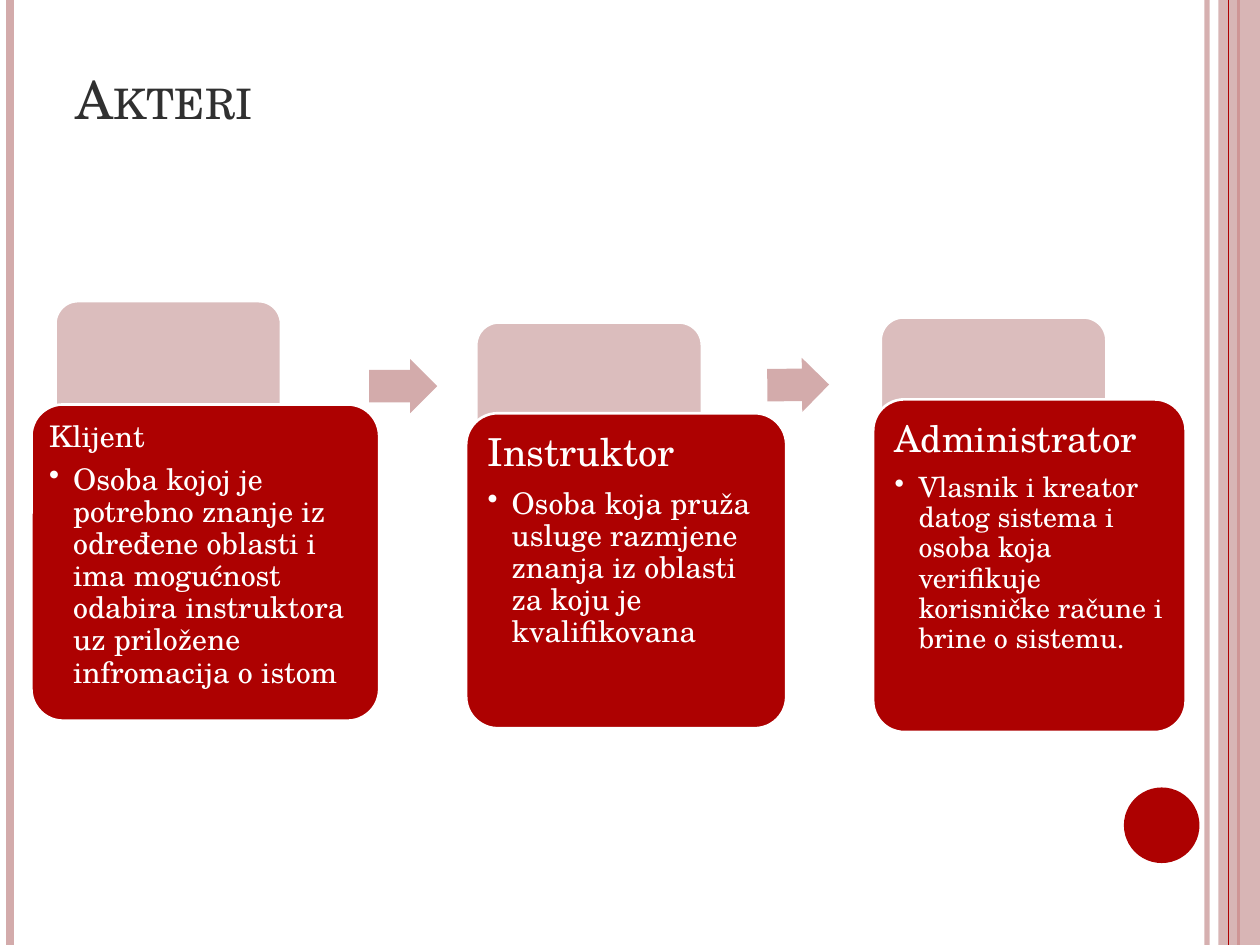
"""Build the slide that presents the three actors of the system."""
import pptx
import pptx.dml.color
import pptx.enum.shapes
import pptx.enum.text
import pptx.oxml
import pptx.oxml.ns
import pptx.util
from pptx.util import Inches, Pt

RED = pptx.dml.color.RGBColor(0xAD, 0x01, 0x01)
ROSE = pptx.dml.color.RGBColor(0xD3, 0xAB, 0xAB)
PALE = pptx.dml.color.RGBColor(0xDB, 0xBD, 0xBD)
WHITE = pptx.dml.color.RGBColor(0xFF, 0xFF, 0xFF)
DARK = pptx.dml.color.RGBColor(0x30, 0x30, 0x30)
FONT = "TeX Gyre Schola"
KIND = pptx.enum.shapes.MSO_SHAPE
ANCHOR = pptx.enum.text.MSO_ANCHOR


def add_shape(kind, box, fill, edge=None):
    shape = slide.shapes.add_shape(kind, *map(Inches, box))
    shape.shadow.inherit = False
    shape.fill.solid()
    shape.fill.fore_color.rgb = fill
    if edge is None:
        shape.line.fill.background()
    else:
        shape.line.color.rgb = edge
        shape.line.width = Pt(1.5)
    return shape


def set_alpha(fill, value):
    color = fill._xPr.find(".//" + pptx.oxml.ns.qn("a:srgbClr"))
    alpha = color.makeelement(pptx.oxml.ns.qn("a:alpha"), {"val": str(value * 1000)})
    color.append(alpha)


deck = pptx.Presentation()
deck.slide_width, deck.slide_height = Inches(10), Inches(7.5)
slide = deck.slides.add_slide(deck.slide_layouts[5])

rules = [(9.58, ROSE, 3), (0.08, ROSE, 4.5), (9.83, RED, 1.5), (9.75, RED, 0.75)]
for x, color, width in rules:
    if x == 9.75:
        band = add_shape(KIND.RECTANGLE, (9.67, 0, 0.33, 7.5), ROSE)
        set_alpha(band.fill, 87)
    line = slide.shapes.add_connector(
        pptx.enum.shapes.MSO_CONNECTOR.STRAIGHT, Inches(x), 0, Inches(x), Inches(7.5))
    line.line.color.rgb = color
    line.line.width = Pt(width)
    if x == 9.58:
        set_alpha(line.line.fill, 93)
    pptx.oxml.ns.qn("a:effectLst")
    props = line._element.spPr
    props.append(props.makeelement(pptx.oxml.ns.qn("a:effectLst"), {}))
add_shape(KIND.OVAL, (8.92, 6.25, 0.6, 0.6), RED)

title = slide.shapes.title
title.left, title.top = Inches(0.5), Inches(0.3)
title.width, title.height = Inches(7.75), Inches(0.78)
title.text_frame.text = "Akteri"
title.text_frame.vertical_anchor = ANCHOR.BOTTOM
head = title.text_frame.paragraphs[0]
head.alignment = pptx.enum.text.PP_ALIGN.LEFT
font = head.runs[0].font
font.name, font.size, font.color.rgb = FONT, Pt(30), DARK
font._element.set("cap", "small")

actors = [
    ("Klijent", "Osoba kojoj je potrebno znanje iz određene oblasti i ima mogućnost "
     "odabira instruktora uz priložene infromacija o istom", 17, 17, 0.07,
     (0.44, 2.39), (0.25, 3.21, 2.76, 2.51), (0.32, 3.28, 2.61, 2.36)),
    ("Instruktor", "Osoba koja pruža usluge razmjene znanja iz oblasti za koju je "
     "kvalifikovana", 22, 17, 0.09,
     (3.78, 2.56), (3.7, 3.28, 2.54, 2.5), (3.78, 3.35, 2.39, 2.36)),
    ("Administrator", "Vlasnik i kreator datog sistema i osoba koja verifikuje "
     "korisničke račune i brine o sistemu.", 21, 16, 0.09,
     (6.99, 2.52), (6.93, 3.17, 2.48, 2.64), (7.01, 3.25, 2.34, 2.49)),
]
for name, role, big, small, inset, tab, card, area in actors:
    for box, fill in (((*tab, 1.79, 1.79), PALE), (card, RED)):
        shape = add_shape(KIND.ROUNDED_RECTANGLE, box, fill, WHITE)
        shape.adjustments[0] = 0.1
    frame = slide.shapes.add_textbox(*map(Inches, area)).text_frame
    frame.word_wrap = True
    frame.vertical_anchor = ANCHOR.TOP
    frame.margin_left = frame.margin_right = Inches(inset)
    frame.margin_top = frame.margin_bottom = Inches(inset)
    frame.text = name + "\n" + role
    for para, size, share in zip(frame.paragraphs, (big, small), (0.35, 0.15)):
        para.line_spacing = 0.9
        para.space_after = Pt(round(size * share, 1))
        font = para.runs[0].font
        font.name, font.size, font.color.rgb = FONT, Pt(size), WHITE
    para.level = 1
    props = para._p.get_or_add_pPr()
    props.set("marL", str(Inches(0.19)))
    props.set("indent", str(-Inches(0.19)))
    props.append(props.makeelement(pptx.oxml.ns.qn("a:buChar"), {"char": "•"}))

for box, turn in (((2.93, 2.85, 0.54, 0.43), 0), ((6.09, 2.84, 0.49, 0.43), 359.4)):
    arrow = add_shape(KIND.RIGHT_ARROW, box, ROSE)
    arrow.adjustments[0], arrow.adjustments[1] = 0.6, 0.5
    arrow.rotation = turn

deck.save("out.pptx")
